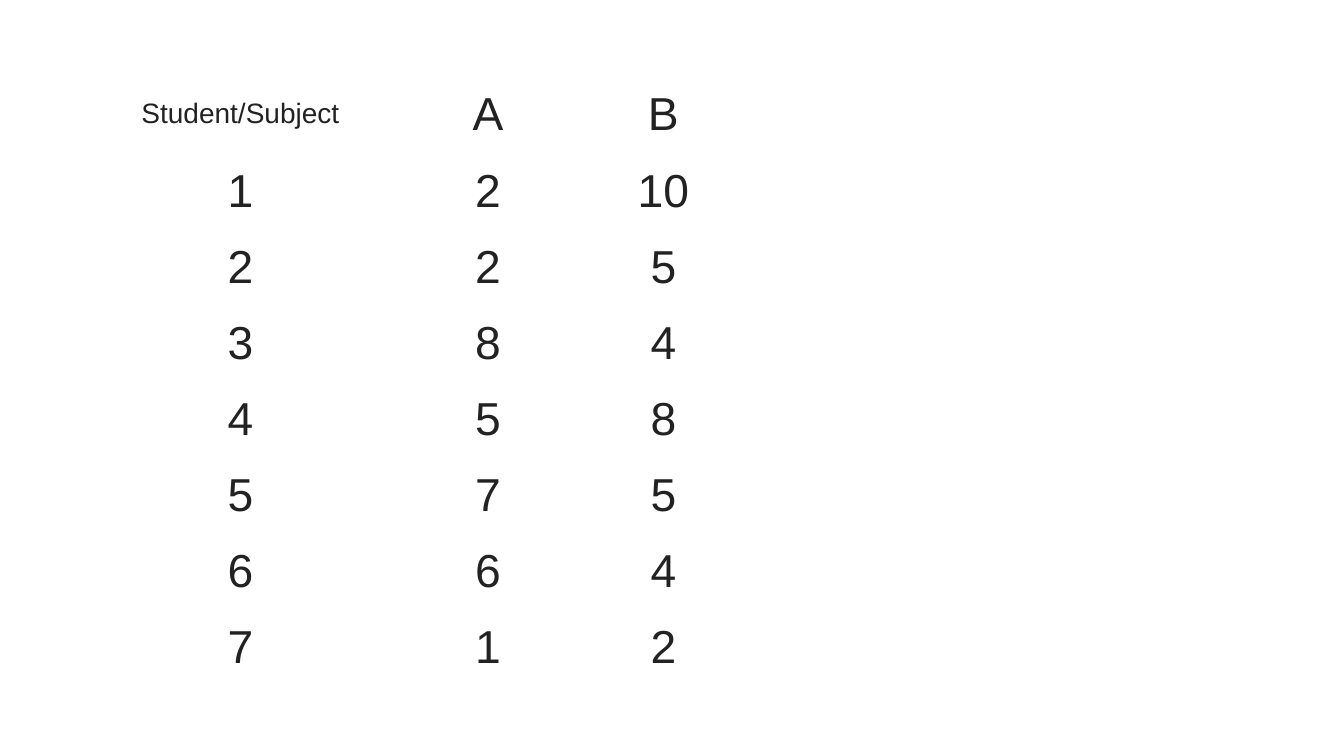
from pptx import Presentation
from pptx.dml.color import RGBColor
from pptx.enum.text import MSO_ANCHOR, PP_ALIGN
from pptx.util import Inches, Pt

CENTER = PP_ALIGN.CENTER
MIDDLE = MSO_ANCHOR.MIDDLE

TEXT_COLOR = "222222"
COLUMN_WIDTHS = [3.17, 1.74, 1.74]
TABLE_HEIGHT = 6.04
SCORES = [
    ["Student/Subject", "A", "B"],
    ["1", "2", "10"],
    ["2", "2", "5"],
    ["3", "8", "4"],
    ["4", "5", "8"],
    ["5", "7", "5"],
    ["6", "6", "4"],
    ["7", "1", "2"],
]
CELL_FORMAT = {
    "vertical_anchor": MIDDLE,
    "margin_left": Inches(0.03),
    "margin_top": Inches(0.03),
    "margin_right": Inches(0.03),
    "margin_bottom": Inches(0),
}


def rgb(value):
    return RGBColor.from_string(value)


prs = Presentation()
prs.slide_width = Inches(13.33)
prs.slide_height = Inches(7.5)
s = prs.slides.add_slide(prs.slide_layouts[6])

table = s.shapes.add_table(
    len(SCORES), len(COLUMN_WIDTHS), Inches(0.8), Inches(0.73),
    Inches(sum(COLUMN_WIDTHS)), Inches(TABLE_HEIGHT)).table
table.first_row = False
table.horz_banding = False
for column, width in zip(table.columns, COLUMN_WIDTHS):
    column.width = Inches(width)

for row, values in enumerate(SCORES):
    for col, value in enumerate(values):
        cell = table.cell(row, col)
        cell.fill.background()
        for name, setting in CELL_FORMAT.items():
            setattr(cell, name, setting)
        p = cell.text_frame.paragraphs[0]
        p.alignment = CENTER
        p.line_spacing = 1.07
        r = p.add_run()
        r.text = value
        r.font.name = "Arial"
        r.font.size = Pt(20 if row == col == 0 else 33)
        r.font.color.rgb = rgb(TEXT_COLOR)

prs.save("out.pptx")
